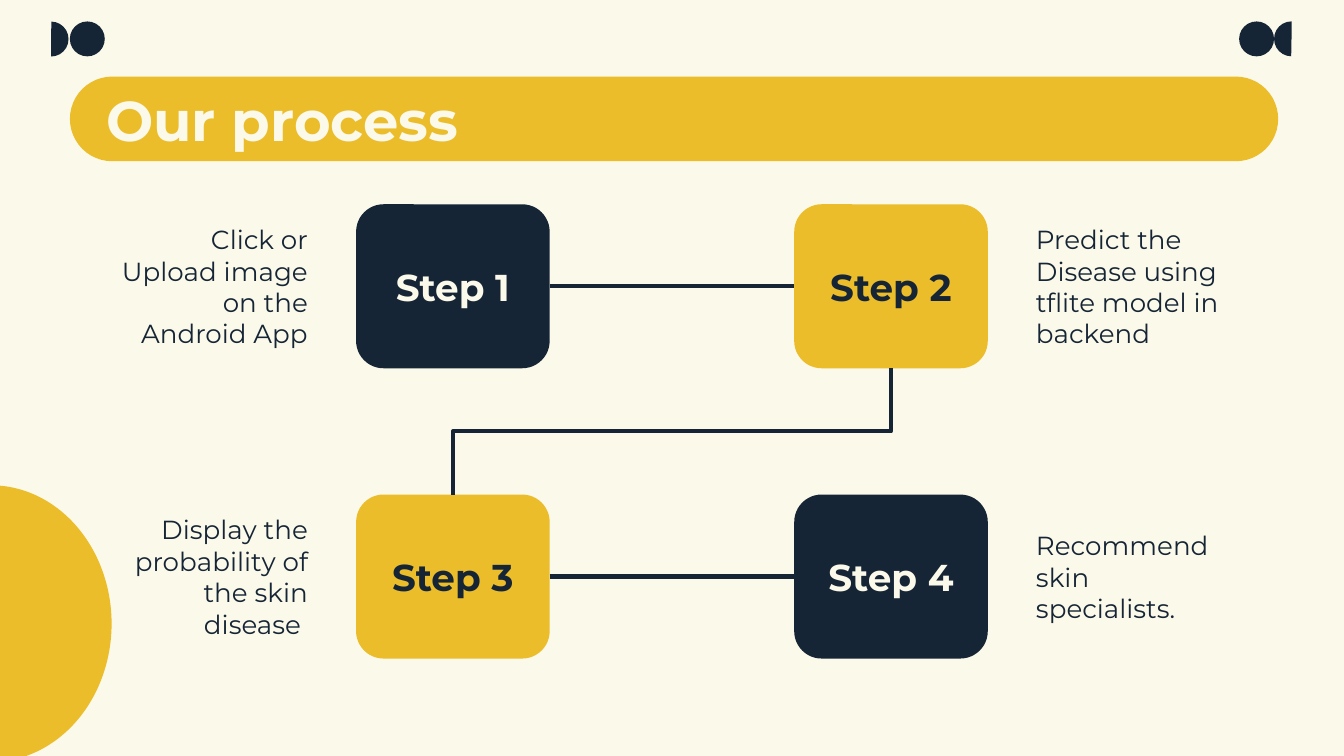
from lxml import etree
from pptx import Presentation
from pptx.dml.color import RGBColor
from pptx.enum import shapes, text
from pptx.oxml.ns import qn
from pptx.util import Inches, Pt

COLORS = {"cream": "FBF9EA", "navy": "162535", "yellow": "ECBD2A"}
FONT = "Montserrat"
TITLE = "Our process"
# label, description, column, row, box colour, label colour
STEPS = [
    ("Step 1", "Click or Upload image on the Android App", 0, 0, "navy", "cream"),
    ("Step 2", "Predict the Disease using tflite model in backend", 1, 0, "yellow", "navy"),
    ("Step 3", "Display the probability of the skin disease ", 0, 1, "yellow", "navy"),
    ("Step 4", "Recommend skin specialists.", 1, 1, "navy", "cream"),
]

WIDTH = 10
HEIGHT = WIDTH * 9 / 16
BOX_W, BOX_H = 1.44, 1.22
BOX_LEFTS, BOX_TOPS = (2.65, 5.91), (1.52, 3.68)
NOTE_W, NOTE_H = 1.61, 1.12
NOTE_LEFTS = (0.78, 7.61)
NOTE_ALIGNS = (text.PP_ALIGN.RIGHT, text.PP_ALIGN.LEFT)
DOT = 0.26
HALF_ARC = (54.58, 162)  # pie angles that leave the left half

KIND = shapes.MSO_SHAPE
LINK = shapes.MSO_CONNECTOR

deck = Presentation()
deck.slide_width, deck.slide_height = Inches(WIDTH), Inches(HEIGHT)
page = deck.slides.add_slide(deck.slide_layouts[6])


def color(name):
    return RGBColor.from_string(COLORS[name])


def add_filled(kind, left, top, width, height, fill, adjustments=(), rotation=0):
    shape = page.shapes.add_shape(
        kind, Inches(left), Inches(top), Inches(width), Inches(height))
    shape.shadow.inherit = False
    shape.fill.solid()
    shape.fill.fore_color.rgb = color(fill)
    shape.line.fill.background()
    shape.rotation = rotation
    for index, value in enumerate(adjustments):
        shape.adjustments[index] = value
    return shape


def write(shape, words, size, ink, align, bold=False, inset=0.1):
    frame = shape.text_frame
    frame.word_wrap = True
    frame.vertical_anchor = text.MSO_ANCHOR.MIDDLE
    frame.margin_left = frame.margin_right = Inches(inset)
    frame.margin_top = frame.margin_bottom = Inches(inset)
    frame.text = words
    para = frame.paragraphs[0]
    para.alignment = align
    font = para.runs[0].font
    font.name, font.size, font.bold = FONT, Pt(size), bold
    font.color.rgb = color(ink)


def add_text(left, top, width, height, *args, **kwargs):
    box = page.shapes.add_textbox(
        Inches(left), Inches(top), Inches(width), Inches(height))
    write(box, *args, **kwargs)


def add_link(kind, x1, y1, x2, y2):
    link = page.shapes.add_connector(
        kind, Inches(x1), Inches(y1), Inches(x2), Inches(y2))
    link.line.color.rgb = color("navy")
    link.line.width = Pt(2.25)
    etree.SubElement(link._element.spPr, qn("a:effectLst"))
    return link


def add_turned_elbow(x1, y1, x2, y2):
    """Elbow that leaves downward: drawn sideways, then turned a quarter."""
    mid_x, mid_y = (x1 + x2) / 2, (y1 + y2) / 2
    half_w, half_h = (y2 - y1) / 2, (x1 - x2) / 2
    link = add_link(LINK.ELBOW, mid_x - half_w, mid_y - half_h,
                    mid_x + half_w, mid_y + half_h)
    link._element.spPr.find(qn("a:xfrm")).set("rot", str(90 * 60000))


page.background.fill.solid()
page.background.fill.fore_color.rgb = color("cream")

# Corner ornaments and the large half disc
for half_left, dot_left, turn in ((0.25, 0.52, 180), (9.48, 9.22, 0)):
    add_filled(KIND.PIE, half_left, 0.16, DOT, DOT, "navy", HALF_ARC, turn)
    add_filled(KIND.OVAL, dot_left, 0.16, DOT, DOT, "navy")
add_filled(KIND.PIE, -0.97, 3.61, 1.8, 2.06, "yellow", (53.46, 162), 180)

# Title band
add_filled(KIND.ROUNDED_RECTANGLE, 0.52, 0.57, 8.99, 0.63, "yellow", (0.5,))
add_text(0.79, 0.57, 8.43, 0.63, TITLE, 30, "cream",
         text.PP_ALIGN.LEFT, bold=True, inset=0)

# Steps with their descriptions
boxes = {}
for label, note, column, row, fill, ink in STEPS:
    top = BOX_TOPS[row]
    box = add_filled(KIND.ROUNDED_RECTANGLE, BOX_LEFTS[column], top,
                     BOX_W, BOX_H, fill, (0.167,))
    write(box, label, 20, ink, text.PP_ALIGN.CENTER, bold=True)
    boxes[column, row] = box
    add_text(NOTE_LEFTS[column], top + (BOX_H - NOTE_H) / 2, NOTE_W, NOTE_H,
             note, 14, "navy", NOTE_ALIGNS[column])

# Links between the steps
for row, top in enumerate(BOX_TOPS):
    middle = top + BOX_H / 2
    link = add_link(LINK.STRAIGHT, BOX_LEFTS[0] + BOX_W, middle, BOX_LEFTS[1], middle)
    link.begin_connect(boxes[0, row], 3)
    link.end_connect(boxes[1, row], 1)
add_turned_elbow(BOX_LEFTS[1] + BOX_W / 2, BOX_TOPS[0] + BOX_H,
                 BOX_LEFTS[0] + BOX_W / 2, BOX_TOPS[1])

deck.save("out.pptx")
